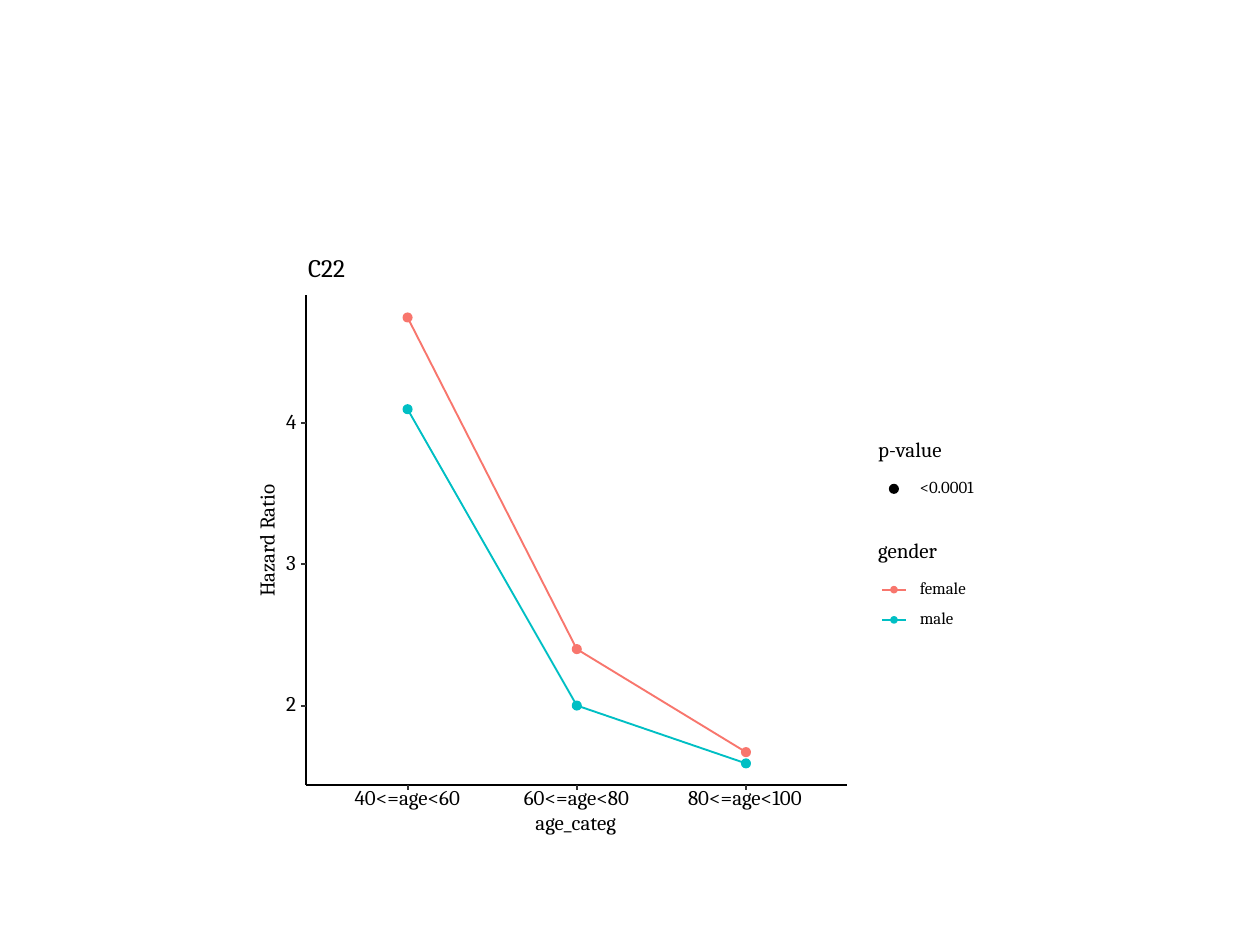
from lxml import etree
from pptx import Presentation
from pptx import util as u
from pptx.dml.color import RGBColor
from pptx.enum import shapes, text
from pptx.oxml.ns import qn

BLACK = RGBColor(0x00, 0x00, 0x00)
GREY = RGBColor(0x33, 0x33, 0x33)
CORAL = RGBColor(0xF8, 0x76, 0x6D)
TEAL = RGBColor(0x00, 0xBF, 0xC4)

FONT = "Cambria"
COLS, ROWS = 100, 75
CELL = u.Inches(10) // COLS

LEFT, RIGHT, TOP, BOTTOM = 24.3, 67.25, 23.4, 62.3
TICK = 0.4
FIRST_AGE, AGE_STEP = 32.35, 13.43
RATIO_2, RATIO_STEP = 56, 11.2

AGES = [("40<=age<60", 8.5), ("60<=age<80", 8.5), ("80<=age<100", 9.3)]
RATIOS = (2, 3, 4)
SERIES = [
    ("female", CORAL, (4.75, 2.4, 1.67), 3.6),
    ("male", TEAL, (4.1, 2, 1.59), 2.6),
]


def grid(n):
    return u.Emu(round(n * CELL))


def age_x(i):
    return FIRST_AGE + i * AGE_STEP


def ratio_y(value):
    return RATIO_2 - (value - 2) * RATIO_STEP


def format_text(sp, content, size=12):
    tf = sp.text_frame
    tf.margin_left = tf.margin_right = tf.margin_top = tf.margin_bottom = 0
    tf.word_wrap = False
    tf.auto_size = text.MSO_AUTO_SIZE.NONE
    tf.vertical_anchor = text.MSO_ANCHOR.MIDDLE
    p = tf.paragraphs[0]
    p.alignment = text.PP_ALIGN.LEFT
    p.line_spacing = u.Pt(size)
    r = p.add_run()
    r.text = content
    r.font.name = FONT
    r.font.size = u.Pt(size)
    r.font.color.rgb = BLACK


def add_label(s, content, x, y, w, h, size=12, rotation=0):
    sp = s.shapes.add_textbox(grid(x), grid(y), grid(w), grid(h))
    sp.rotation = rotation
    format_text(sp, content, size)


def add_title(s, content, x, y, w, h, size):
    sp = s.shapes.title
    sp.left, sp.top, sp.width, sp.height = (grid(n) for n in (x, y, w, h))
    format_text(sp, content, size)


def add_line(s, x1, y1, x2, y2, color=BLACK, width=1.07):
    ln = s.shapes.add_connector(
        shapes.MSO_CONNECTOR.STRAIGHT, grid(x1), grid(y1), grid(x2), grid(y2))
    ln.line.color.rgb = color
    ln.line.width = u.Pt(width)
    etree.SubElement(ln._element.spPr, qn("a:effectLst"))


def add_curve(s, points, color):
    start, *rest = [(grid(x), grid(y)) for x, y in points]
    builder = s.shapes.build_freeform(*start)
    builder.add_line_segments(rest, close=False)
    sp = builder.convert_to_shape()
    sp.shadow.inherit = False
    sp.fill.background()
    sp.line.color.rgb = color
    sp.line.width = u.Pt(1.07)


def add_dot(s, x, y, color, size=0.7):
    sp = s.shapes.add_shape(
        shapes.MSO_SHAPE.OVAL,
        grid(x - size / 2), grid(y - size / 2), grid(size), grid(size))
    sp.shadow.inherit = False
    sp.fill.solid()
    sp.fill.fore_color.rgb = color
    sp.line.color.rgb = color
    sp.line.width = u.Pt(0.71)


def add_series(s):
    curves = [
        (color, [(age_x(i), ratio_y(v)) for i, v in enumerate(values)])
        for _, color, values, _ in SERIES
    ]
    for color, points in curves:
        add_curve(s, points, color)
    for color, points in reversed(curves):
        for x, y in points:
            add_dot(s, x, y, color)


def add_axes(s):
    add_line(s, LEFT, BOTTOM, LEFT, TOP)
    add_line(s, LEFT, BOTTOM, RIGHT, BOTTOM)
    for value in RATIOS:
        y = ratio_y(value)
        add_line(s, LEFT - TICK, y, LEFT, y, GREY, 1.16)
        add_label(s, str(value), 22.7, y - 0.55, 0.8, 1.1)
    for i, (age, w) in enumerate(AGES):
        x = age_x(i)
        add_line(s, x, BOTTOM + TICK, x, BOTTOM, GREY, 1.16)
        add_label(s, age, x - w / 2 + 0.05, BOTTOM + TICK, w, 1.5)
    add_label(s, "age_categ", 42.5, 64.7, 6.7, 1.4)
    add_label(s, "Hazard Ratio", 16.9, 42.35, 8.8, 1.2, rotation=270)


def add_legends(s):
    add_label(s, "p-value", 69.7, 35.1, 5, 1.5)
    add_dot(s, 70.95, 38.8, BLACK)
    add_label(s, "<0.0001", 73, 38.3, 4.4, 0.9, 9.6)
    add_label(s, "gender", 69.7, 43.1, 4.5, 1.5)
    for i, (name, color, _, w) in enumerate(SERIES):
        y = 46.8 + 2.4 * i
        add_line(s, 70, y, 71.9, y, color)
        add_dot(s, 70.95, y, color, 0.5)
        add_label(s, name, 73, y - 0.5, w, 0.9, 9.6)


def main():
    prs = Presentation()
    prs.slide_width, prs.slide_height = grid(COLS), grid(ROWS)
    s = prs.slides.add_slide(prs.slide_layouts[5])
    add_title(s, "C22", LEFT + 0.15, 20.75, 3.3, 1.4, 14.4)
    add_series(s)
    add_axes(s)
    add_legends(s)
    prs.save("out.pptx")


if __name__ == "__main__":
    main()
